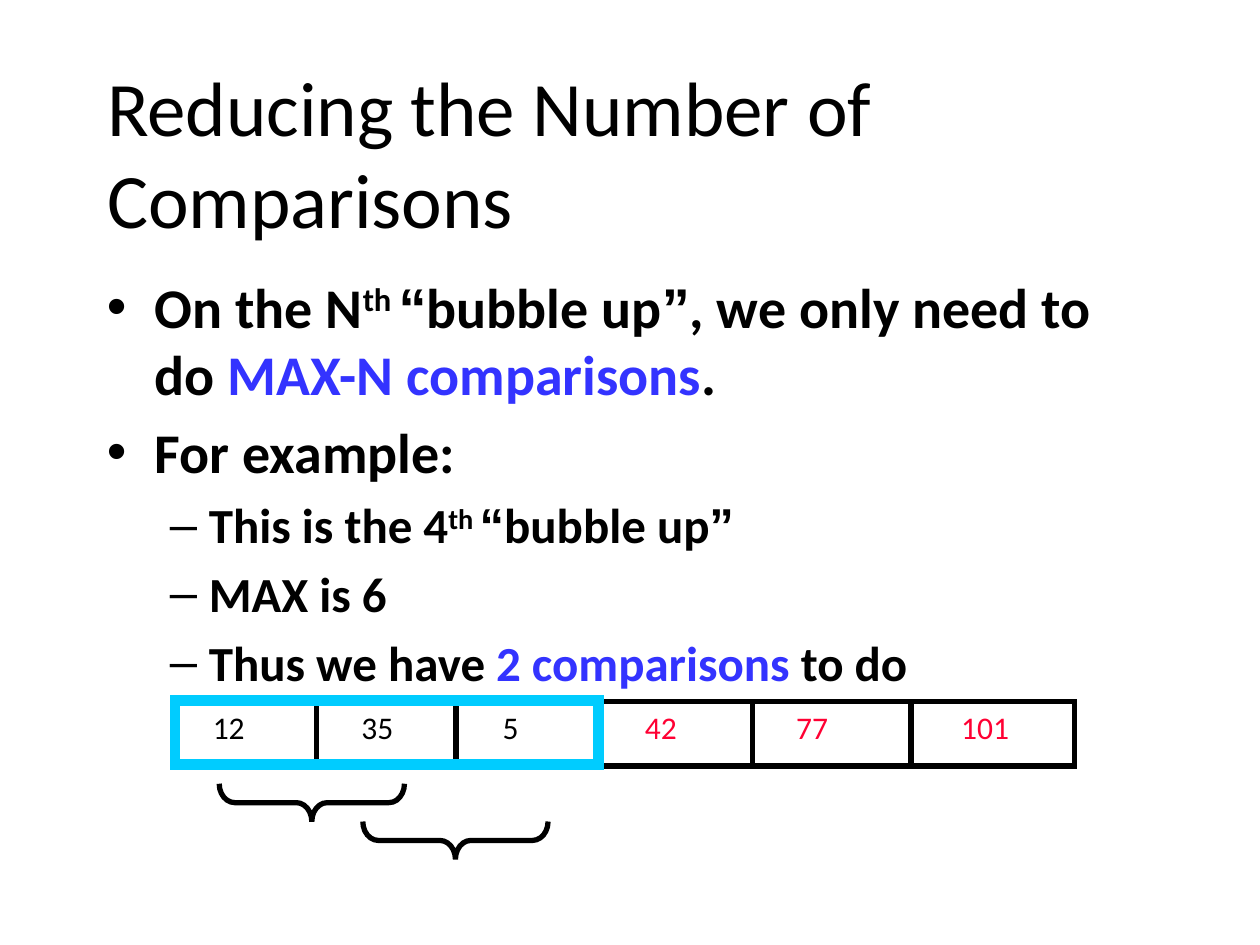
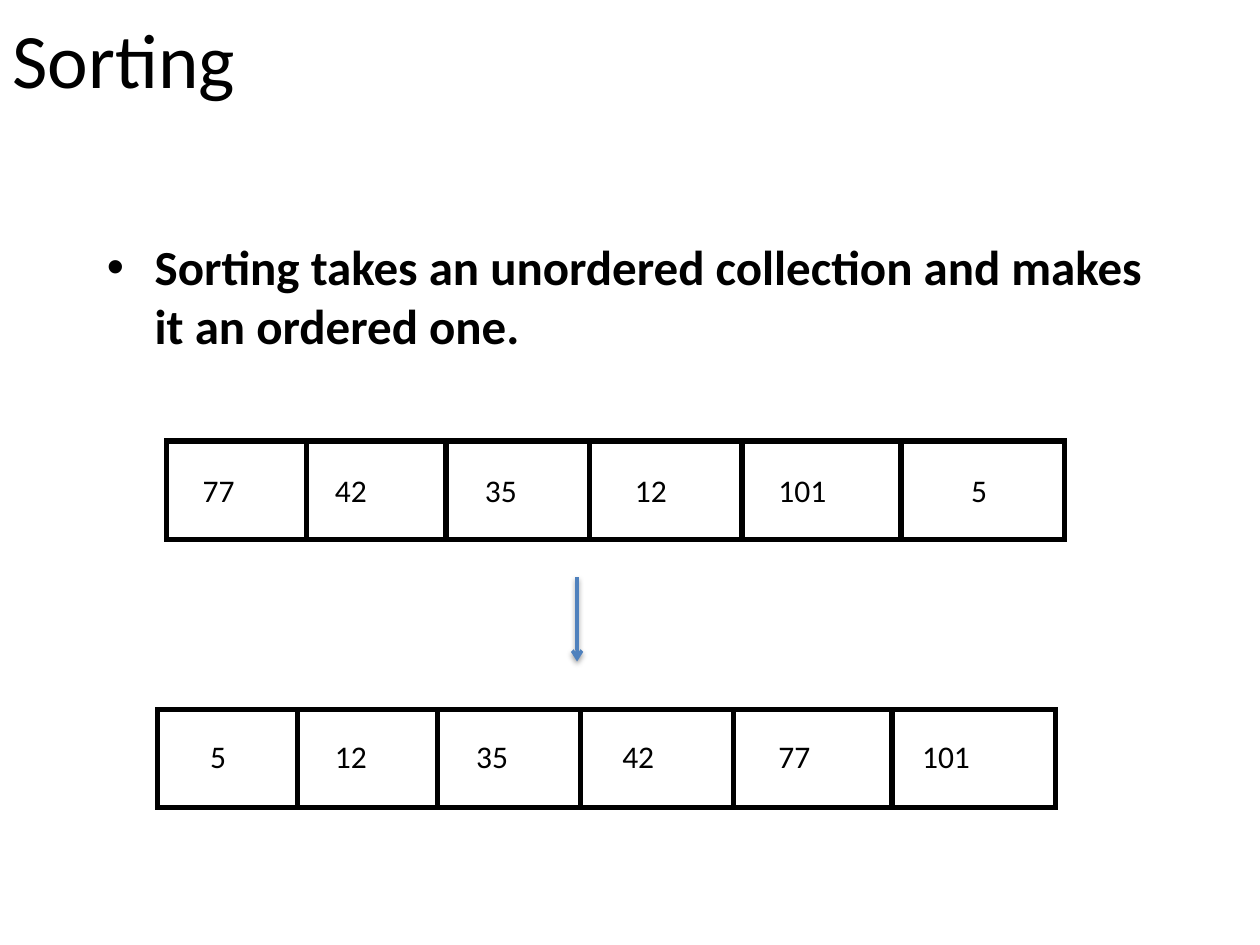
from lxml import etree
from pptx import Presentation
from pptx.dml.color import RGBColor
from pptx.enum import shapes, text
from pptx.oxml import ns
from pptx.util import Inches, Pt

HUES = {"ink": "000000", "blue": "3333FF", "red": "FF0033",
        "cyan": "00CCFF", "steel": "4F81BD"}
FONT = "Calibri"
SPLITS = (1.11, 2.22, 3.36, 4.57, 5.83)
WIDE = 7.13
FRAME = {"word_wrap": True, "auto_size": text.MSO_AUTO_SIZE.NONE,
         "vertical_anchor": text.MSO_ANCHOR.TOP}
LEVELS = ({"mark": "•", "left": 0.38, "hang": 0.38},
          {"mark": "–", "left": 0.81, "hang": 0.31})


def apply(item, style):
    """Set each attribute of the style on the item."""
    for name, value in style.items():
        setattr(item, name, value)


def hue(name):
    """Return the named colour."""
    return RGBColor.from_string(HUES[name])


def child(node, tag, **attrs):
    """Append a drawing element with attributes."""
    return etree.SubElement(node, ns.qn("a:" + tag),
                            {key: str(val) for key, val in attrs.items()})


def write(para, words, size, tint="ink", bold=False, face=FONT, rise=0):
    """Add one formatted run to a paragraph."""
    run = para.add_run()
    run.text = words
    apply(run.font, {"size": Pt(size), "name": face, "bold": bold})
    run.font.color.rgb = hue(tint)
    if rise:
        run._r.get_or_add_rPr().set("baseline", str(rise * 1000))


def frame(slide, box):
    """Add a wrapping text box and return its text frame."""
    area = slide.shapes.add_textbox(*map(Inches, box)).text_frame
    apply(area, FRAME)
    return area


def title(slide, box, words, anchor):
    """Place and fill the title placeholder."""
    head = slide.shapes.title
    apply(head, dict(zip(("left", "top", "width", "height"), map(Inches, box))))
    apply(head.text_frame, {**FRAME, "vertical_anchor": anchor})
    para = head.text_frame.paragraphs[0]
    para.alignment = text.PP_ALIGN.LEFT
    write(para, words, 44)


def body(slide, box, items):
    """Write bold bullets, each given as level, size and runs."""
    area = frame(slide, box)
    for num, (level, size, runs) in enumerate(items):
        para = area.add_paragraph() if num else area.paragraphs[0]
        form = LEVELS[level]
        props = para._p.get_or_add_pPr()
        props.set("marL", str(Inches(form["left"])))
        props.set("indent", str(-Inches(form["hang"])))
        child(child(props, "spcBef"), "spcPct", val=20000)
        child(props, "buFont", typeface="Arial")
        child(props, "buChar", char=form["mark"])
        for words, style in runs:
            write(para, words, size, bold=True, **style)


def outline(slide, kind, box, tint="ink", width=3):
    """Add an unfilled shape with a sharp outline."""
    item = slide.shapes.add_shape(kind, *map(Inches, box))
    item.shadow.inherit = False
    item.fill.background()
    item.line.color.rgb = hue(tint)
    item.line.width = Pt(width)
    child(item.line._get_or_add_ln(), "miter", lim=800000)
    return item


def stroke(slide, start, end, tint="ink", width=3):
    """Draw a straight line and return it with its effect list."""
    line = slide.shapes.add_connector(shapes.MSO_CONNECTOR.STRAIGHT,
                                      *map(Inches, start + end))
    line.line.color.rgb = hue(tint)
    line.line.width = Pt(width)
    return line, child(line._element.spPr, "effectLst")


def array(slide, box, cells, drop):
    """Draw a divided strip; cells give value, offset and colour."""
    left, top, _, high = box
    outline(slide, shapes.MSO_SHAPE.RECTANGLE, box)
    for gap in SPLITS:
        stroke(slide, (left + gap, top), (left + gap, top + high))
    for value, shift, tint in cells:
        spot = (left + shift, top + drop, 0.2 + 0.19 * len(value), 0.5)
        write(frame(slide, spot).paragraphs[0], value, 18, tint)


def brace(slide, box):
    """Draw a downward brace that fills the box."""
    left, top, wide, high = box
    turned = (left + (wide - high) / 2, top + (high - wide) / 2, high, wide)
    item = outline(slide, shapes.MSO_SHAPE.LEFT_BRACE, turned)
    item.rotation = 270
    item.adjustments[0] = 0.41


def arrow(slide, start, end):
    """Draw a softly shadowed arrow."""
    line, effect = stroke(slide, start, end, "steel", 2)
    child(line.line._get_or_add_ln(), "tailEnd", type="arrow")
    shade = child(effect, "outerShdw", blurRad=Pt(3.1), dist=Pt(1.6),
                  dir=5400000, rotWithShape=0)
    child(child(shade, "srgbClr", val=HUES["ink"]), "alpha", val=38000)


def quote(words):
    """Return runs for words in curly quotes."""
    return [("“", {"face": "Arial"}), (words, {}), ("”", {"face": "Arial"})]


def reduce(slide):
    """Build the slide on fewer comparisons."""
    title(slide, (0.75, 0.42, 8.5, 0.95),
          "Reducing the Number of Comparisons", text.MSO_ANCHOR.TOP)
    power, blue = ("th ", {"rise": 30}), {"tint": "blue"}
    bubble = [power] + quote("bubble up")
    body(slide, (0.75, 2.11, 8.5, 5.05), [
        (0, 32, [("On the N", {}), *bubble, (", we only need to do ", {}),
                 ("MAX-N comparisons", blue), (".", {})]),
        (0, 32, [("For example:", {})]),
        (1, 28, [("This is the 4", {}), *bubble]),
        (1, 28, [("MAX is 6", {})]),
        (1, 28, [("Thus we have ", {}), ("2 comparisons", blue),
                 (" to do", {})])])
    array(slide, (1.4, 5.57, WIDE, 0.51), [
        ("12", 0.19, "ink"), ("35", 1.37, "ink"), ("5", 2.49, "ink"),
        ("42", 3.62, "red"), ("77", 4.82, "red"), ("101", 6.13, "red")], 0)
    outline(slide, shapes.MSO_SHAPE.RECTANGLE, (1.39, 5.56, 3.36, 0.51),
            "cyan", 6)
    for step in range(2):
        brace(slide, (1.74 + 1.14 * step, 6.22 + 0.3 * step, 1.47, 0.3))


def sorting(slide):
    """Build the slide that shows an array before and after sorting."""
    title(slide, (0, 0, 10, 0.92), "Sorting", text.MSO_ANCHOR.MIDDLE)
    body(slide, (0.75, 1.83, 8.5, 1.2), [
        (0, 28, [("Sorting takes an unordered collection and makes "
                  "it an ordered one.", {})])])
    rows = (((1.32, 3.5), ("77", "42", "35", "12", "101", "5"),
             (0.19, 1.24, 2.43, 3.62, 4.76, 6.29), 0.19),
            ((1.25, 5.63), ("5", "12", "35", "42", "77", "101"),
             (0.32, 1.31, 2.43, 3.59, 4.83, 5.97), 0.17))
    for spot, values, shifts, drop in rows:
        cells = [(val, gap, "ink") for val, gap in zip(values, shifts)]
        array(slide, (*spot, WIDE, 0.78), cells, drop)
    arrow(slide, (4.58, 4.58), (4.58, 5.25))


def main():
    """Build and save the deck."""
    deck = Presentation()
    apply(deck, {"slide_width": Inches(10), "slide_height": Inches(7.5)})
    for build in (reduce, sorting):
        build(deck.slides.add_slide(deck.slide_layouts[5]))
    deck.save("out.pptx")


if __name__ == "__main__":
    main()
